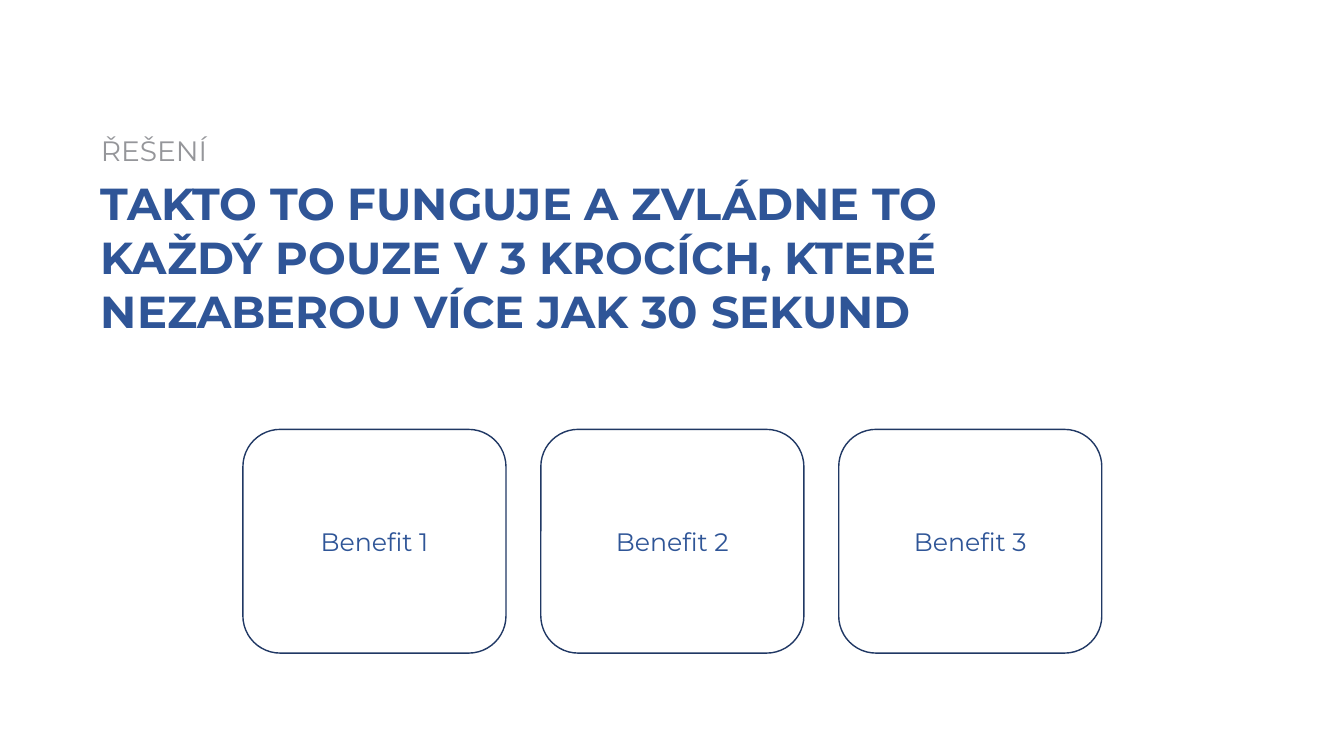
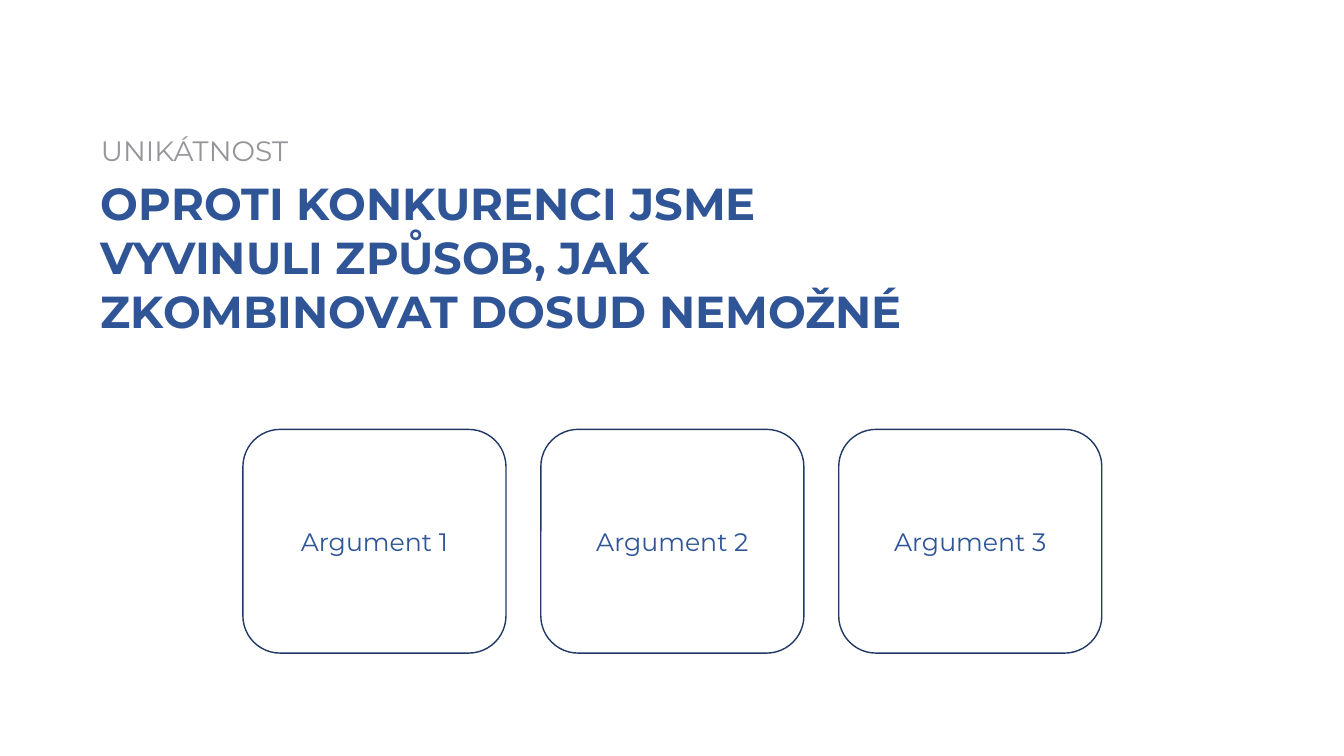
import pptx
import pptx.util
import pptx.dml.color
import pptx.enum.shapes
import pptx.enum.text

Pt = pptx.util.Pt
ALIGN = pptx.enum.text.PP_ALIGN

# Shared style
FONT = "Montserrat"
BLUE, NAVY, GRAY = "2F5597", "203864", "95969A"
LEFT, INSET = 69.84, 2.25
CARD_LEFT, CARD_TOP, CARD_W, CARD_H, CARD_STEP = 173.5, 306.7, 187.9, 159.8, 212.8


def rgb(value):
    return pptx.dml.color.RGBColor.from_string(value)


def set_text(sp, text, size, color, align, bold=False, inset=None):
    tf = sp.text_frame
    tf.word_wrap = True
    tf.vertical_anchor = pptx.enum.text.MSO_ANCHOR.MIDDLE
    if inset is not None:
        tf.auto_size = pptx.enum.text.MSO_AUTO_SIZE.SHAPE_TO_FIT_TEXT
        tf.margin_left = tf.margin_right = Pt(inset)
        tf.margin_top = tf.margin_bottom = Pt(inset)
    p = tf.paragraphs[0]
    p.text = text
    p.alignment = align
    p.font.name = FONT
    p.font.size = Pt(size)
    p.font.bold = bold
    p.font.color.rgb = rgb(color)


prs = pptx.Presentation()
prs.slide_width, prs.slide_height = Pt(960), Pt(540)

# Section label, label width, title, card caption
slides = [
    ("ŘEŠENÍ", 143.3,
     "TAKTO TO FUNGUJE A ZVLÁDNE TO KAŽDÝ POUZE V 3 KROCÍCH, "
     "KTERÉ NEZABEROU VÍCE JAK 30 SEKUND", "Benefit"),
    ("UNIKÁTNOST", 187.9,
     "OPROTI KONKURENCI JSME VYVINULI ZPŮSOB, JAK "
     "ZKOMBINOVAT DOSUD NEMOŽNÉ", "Argument"),
]

for label, label_w, title, caption in slides:
    s = prs.slides.add_slide(prs.slide_layouts[5])

    # Title
    sp = s.shapes.title
    sp.left, sp.top, sp.width, sp.height = Pt(LEFT), Pt(122.4), Pt(622.8), Pt(121.7)
    set_text(sp, title, 32, BLUE, ALIGN.LEFT, bold=True, inset=INSET)

    # Section label
    sp = s.shapes.add_textbox(Pt(LEFT), Pt(92.9), Pt(label_w), Pt(29.5))
    set_text(sp, label, 20, GRAY, ALIGN.LEFT, inset=INSET)

    # Row of cards
    for i in range(3):
        sp = s.shapes.add_shape(
            pptx.enum.shapes.MSO_SHAPE.ROUNDED_RECTANGLE,
            Pt(CARD_LEFT + i * CARD_STEP), Pt(CARD_TOP), Pt(CARD_W), Pt(CARD_H))
        sp.shadow.inherit = False
        sp.fill.background()
        sp.line.color.rgb = rgb(NAVY)
        sp.line.width = Pt(1)
        set_text(sp, f"{caption} {i + 1}", 18, BLUE, ALIGN.CENTER)

prs.save("out.pptx")
